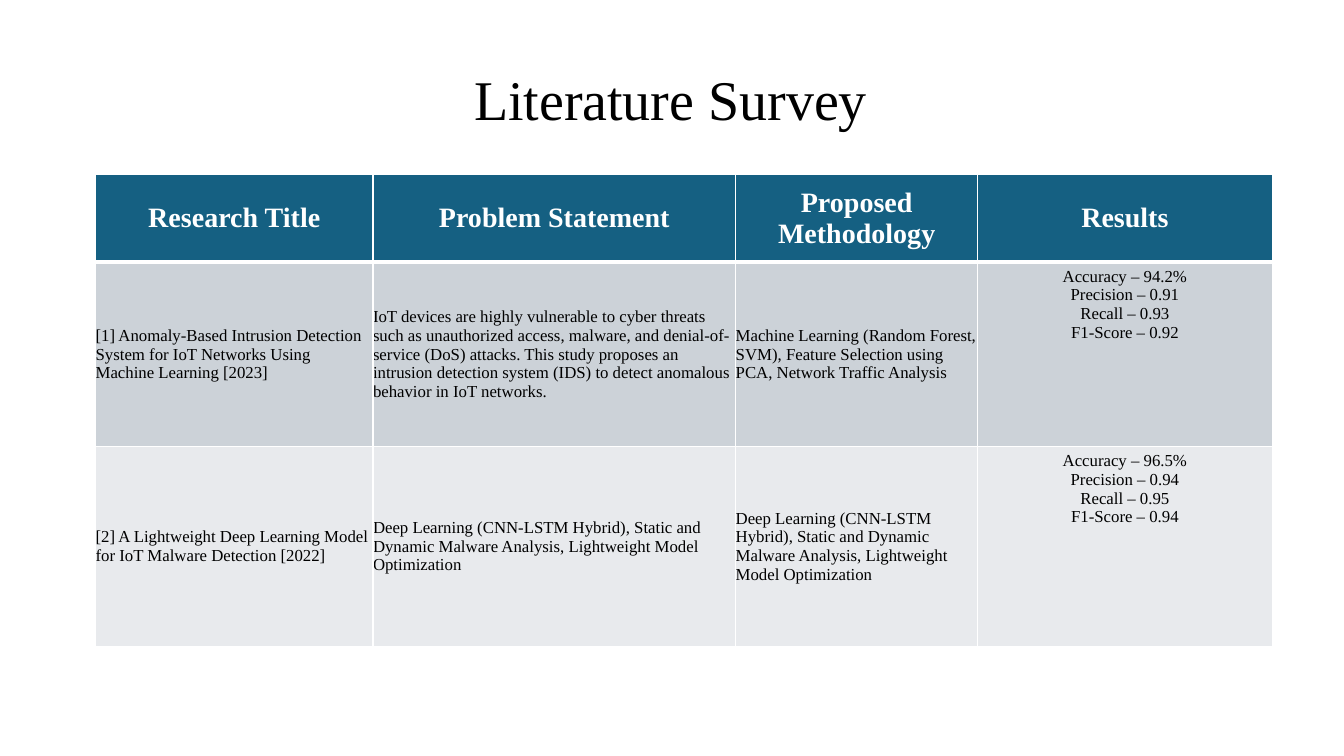
from dataclasses import dataclass

from lxml import etree
from pptx import Presentation
from pptx.dml import color
from pptx.enum import text
from pptx.oxml import ns
from pptx.util import Cm, Pt


@dataclass(frozen=True)
class Theme:
    font: str = "Times New Roman"
    black: str = "000000"
    white: str = "FFFFFF"
    header: str = "156082"
    bands: tuple = ("CCD2D8", "E8EAED")
    title_size: int = 40
    header_size: int = 20
    body_size: int = 12


theme = Theme()


def write_text(frame, content, size, ink=theme.black, bold=False,
               align=text.PP_ALIGN.LEFT, spacing=None):
    for index, line in enumerate(content.split("\n")):
        paragraph = frame.add_paragraph() if index else frame.paragraphs[0]
        paragraph.alignment = align
        paragraph.line_spacing = spacing
        run = paragraph.add_run()
        run.text = line
        run.font.name = theme.font
        run.font.size = Pt(size)
        run.font.bold = bold
        run.font.color.rgb = color.RGBColor.from_string(ink)


def add_borders(cell, widths):
    properties = cell._tc.get_or_add_tcPr()
    for side, width in widths.items():
        border = etree.SubElement(properties, ns.qn(f"a:ln{side}"), w=str(Pt(width)))
        fill = etree.SubElement(border, ns.qn("a:solidFill"))
        etree.SubElement(fill, ns.qn("a:srgbClr"), val=theme.white)


presentation = Presentation()
presentation.slide_width = Cm(33.87)
presentation.slide_height = Cm(19.05)
slide = presentation.slides.add_slide(presentation.slide_layouts[6])

title = slide.shapes.add_textbox(Cm(2.4), Cm(1.27), Cm(29), Cm(2.6))
title.text_frame.word_wrap = True
title.text_frame.vertical_anchor = text.MSO_ANCHOR.MIDDLE
write_text(title.text_frame, "Literature Survey", theme.title_size,
           align=text.PP_ALIGN.CENTER, spacing=0.9)

survey = [
    ["Research Title", "Problem Statement", "Proposed Methodology", "Results"],
    [
        "[1] Anomaly-Based Intrusion Detection System for IoT Networks Using "
        "Machine Learning [2023]",
        "IoT devices are highly vulnerable to cyber threats such as unauthorized "
        "access, malware, and denial-of-service (DoS) attacks. This study proposes "
        "an intrusion detection system (IDS) to detect anomalous behavior in IoT "
        "networks.",
        "Machine Learning (Random Forest, SVM), Feature Selection using PCA, "
        "Network Traffic Analysis",
        "Accuracy – 94.2%\nPrecision – 0.91\nRecall – 0.93\nF1-Score – 0.92",
    ],
    [
        "[2] A Lightweight Deep Learning Model for IoT Malware Detection [2022]",
        *["Deep Learning (CNN-LSTM Hybrid), Static and Dynamic Malware Analysis, "
          "Lightweight Model Optimization"] * 2,
        "Accuracy – 96.5%\nPrecision – 0.94\nRecall – 0.95\nF1-Score – 0.94",
    ],
]
column_widths = [6.99, 9.14, 6.1, 7.42]
row_heights = [2.21, 4.65, 5.03]

table = slide.shapes.add_table(
    len(row_heights), len(column_widths), Cm(2.41), Cm(4.4),
    Cm(sum(column_widths)), Cm(sum(row_heights))).table
for column, width in zip(table.columns, column_widths):
    column.width = Cm(width)
for row, height in zip(table.rows, row_heights):
    row.height = Cm(height)

for row_index, entries in enumerate(survey):
    is_header = row_index == 0
    for column_index, entry in enumerate(entries):
        cell = table.cell(row_index, column_index)
        is_result = column_index == len(entries) - 1
        add_borders(cell, {"L": 1, "R": 1, "T": 3 if row_index == 1 else 1,
                           "B": 3 if is_header else 1})
        cell.fill.solid()
        cell.fill.fore_color.rgb = color.RGBColor.from_string(
            theme.header if is_header else theme.bands[row_index - 1])
        if is_header or not is_result:
            cell.vertical_anchor = text.MSO_ANCHOR.MIDDLE
            cell.margin_left = cell.margin_right = Cm(0)
            cell.margin_top = cell.margin_bottom = Cm(0)
        write_text(
            cell.text_frame, entry,
            theme.header_size if is_header else theme.body_size,
            ink=theme.white if is_header else theme.black,
            bold=is_header,
            align=text.PP_ALIGN.CENTER if is_header or is_result
            else text.PP_ALIGN.LEFT)

presentation.save("out.pptx")
